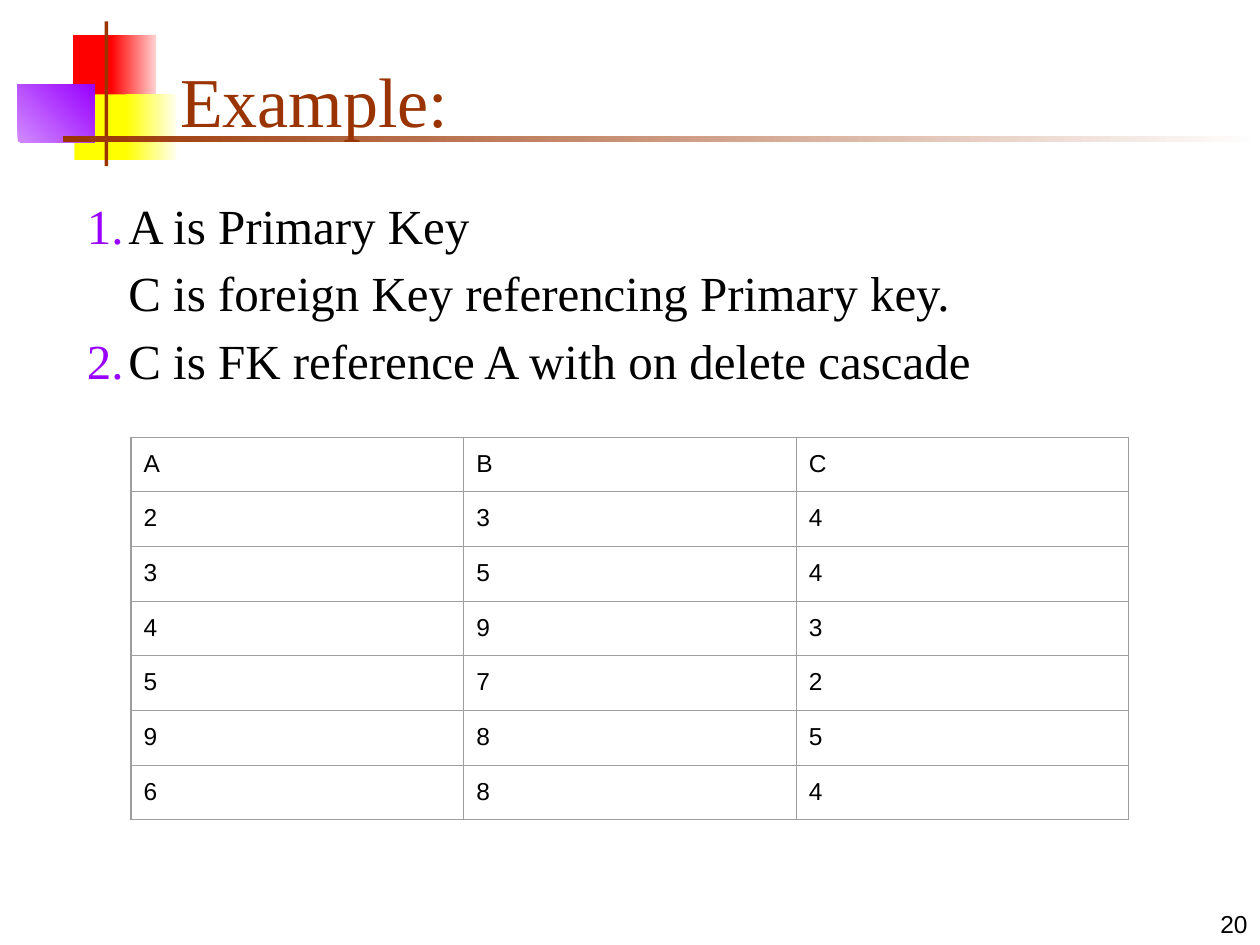
"""Build the key example slide with its ornament, list and table."""
import pptx
import pptx.util
import pptx.dml.color
import pptx.enum.shapes
import pptx.enum.text
from lxml import etree
from pptx.oxml.ns import qn

HUES = {
    "red": "FF0000", "pink": "FFD1D1", "yellow": "FFFF00", "cream": "FFFFF0",
    "lilac": "D18BFF", "purple": "9900FF", "rust": "993300", "white": "FFFFFF",
    "black": "000000", "grey": "9E9E9E",
}
SERIF, SANS = "Times New Roman", "Arial"
Pt = pptx.util.Pt
Rgb = pptx.dml.color.RGBColor.from_string
Anchor = pptx.enum.text.MSO_ANCHOR
Align = pptx.enum.text.PP_ALIGN

deck = pptx.Presentation()
deck.slide_width = pptx.util.Inches(10)
deck.slide_height = pptx.util.Inches(7.5)
slide = deck.slides.add_slide(deck.slide_layouts[5])
shapes = slide.shapes


def span(left, top, width, height):
    """Turn percentages of the slide into lengths."""
    wide, high = deck.slide_width / 100, deck.slide_height / 100
    return [int(left * wide), int(top * high), int(width * wide), int(height * high)]


def style(frame, size, face, hue, align=Align.LEFT):
    """Format every run of a text frame."""
    for para in frame.paragraphs:
        para.alignment = align
        for run in para.runs:
            run.font.size = Pt(size)
            run.font.name = face
            run.font.color.rgb = Rgb(HUES[hue])


blocks = [
    ((5.8, 3.73, 3.5, 6.93), ["red"], 0),
    ((8.8, 3.73, 3.6, 6.93), ["red", "pink"], 0),
    ((5.9, 10, 4.6, 6.93), ["yellow"], 0),
    ((10, 10, 4, 6.93), ["yellow", "cream"], 0),
    ((1.4, 8.93, 6.1, 6.13), ["lilac", "purple"], 45),
    ((8.3, 2.27, 0.3, 15.33), ["rust"], 0),
    ((5, 14.4, 95, 0.67), ["rust", "white"], 0),
]
for area, hues, angle in blocks:
    block = shapes.add_shape(pptx.enum.shapes.MSO_SHAPE.RECTANGLE, *span(*area))
    block.shadow.inherit = False
    block.line.fill.background()
    if len(hues) == 1:
        block.fill.solid()
        block.fill.fore_color.rgb = Rgb(HUES[hues[0]])
    else:
        block.fill.gradient()
        block.fill.gradient_angle = angle
        for stop, hue in zip(block.fill.gradient_stops, hues):
            stop.color.rgb = Rgb(HUES[hue])

title = shapes.title
title.left, title.top, title.width, title.height = span(13.3, 3.33, 85.2, 12.27)
title.text_frame.text = "Example:"
title.text_frame.auto_size = pptx.enum.text.MSO_AUTO_SIZE.NONE
title.text_frame.vertical_anchor = Anchor.BOTTOM
style(title.text_frame, 40, SERIF, "rust")
shapes.element.append(title.element)

items = [
    (1, "A is Primary Key"),
    (None, "C is foreign Key referencing Primary key."),
    (2, "C is FK reference A with on delete cascade"),
]
body = shapes.add_textbox(*span(4.2, 20, 93.8, 69.47)).text_frame
body.word_wrap = True
body.text = "\n".join(text for _, text in items)
style(body, 28, SERIF, "black")
for para, (count, _) in zip(body.paragraphs, items):
    para.space_before = Pt(5)
    props = para._p.get_or_add_pPr()
    props.set("marL", str(pptx.util.Inches(0.5)))
    props.set("indent", str(pptx.util.Inches(-0.33 if count else 0)))
    if count:
        tint = etree.SubElement(props, qn("a:buClr"))
        etree.SubElement(tint, qn("a:srgbClr"), val=HUES["purple"])
        etree.SubElement(props, qn("a:buAutoNum"), type="arabicPeriod", startAt=str(count))

page = shapes.add_textbox(*span(79.2, 93.33, 20.8, 6.67)).text_frame
page.word_wrap = True
page.vertical_anchor = Anchor.BOTTOM
page.text = "20"
style(page, 14, SANS, "black", Align.RIGHT)

rows = ["ABC", "234", "354", "493", "572", "985", "684"]
table = shapes.add_table(len(rows), 3, *span(10.4, 46.27, 79.2, 39.07)).table
table.first_row = table.horz_banding = False
for line, row in zip(table.rows, rows):
    line.height = pptx.util.Inches(0.42)
    for cell, text in zip(line.cells, row):
        cell.text = text
        cell.margin_left = cell.margin_right = pptx.util.Inches(0.1)
        cell.margin_top = cell.margin_bottom = pptx.util.Inches(0.1)
        style(cell.text_frame, 14, SANS, "black")
        props = cell._tc.get_or_add_tcPr()
        for side in "LRTB":
            edge = etree.SubElement(props, qn("a:ln" + side), w=str(Pt(0.75)))
            fill = etree.SubElement(edge, qn("a:solidFill"))
            etree.SubElement(fill, qn("a:srgbClr"), val=HUES["grey"])
        cell.fill.background()

deck.save("out.pptx")
